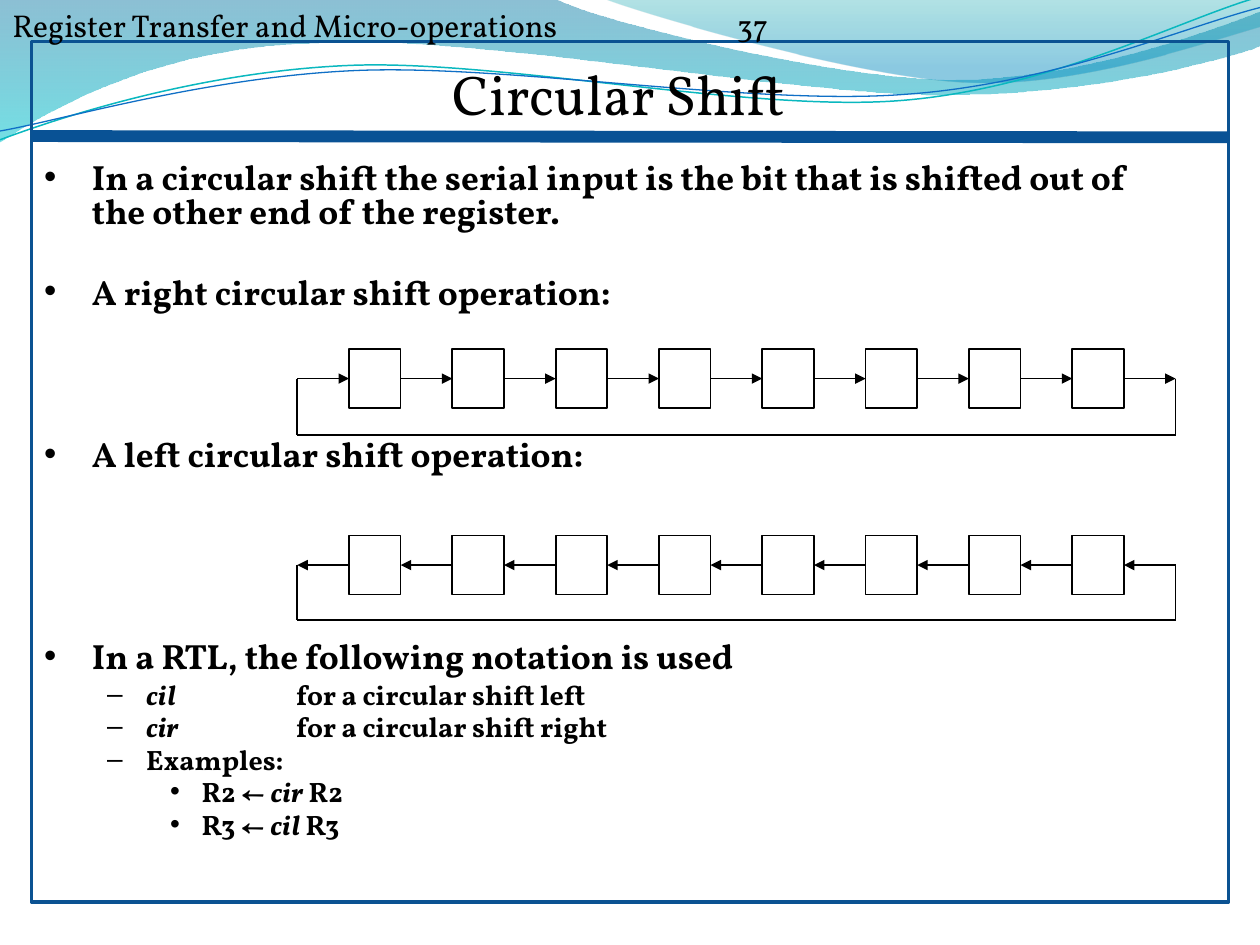
from lxml import etree
from pptx import Presentation
from pptx import util as u
from pptx.dml.color import RGBColor
from pptx.enum import shapes, text
from pptx.oxml import ns

COLORS = {
    "ink": "000000", "frame": "0B5292", "rule": "095295",
    "teal_line": "0AB8BF", "blue_line": "0F6FC6",
    "deep_blue": "0074A1", "aqua": "00C6CF", "teal": "00A1A9", "sky": "008BBF",
}
FONT = "Vollkorn"

# Waves in hundredths of an inch: a start point, then 2 numbers for a line
# or 6 for a cubic curve
WIDE_WAVE = [(0, 0), (440, -1), (476, 17, 664, 63, 758, 63),
             (853, 63, 958, 26, 1000, 9), (1001, 36),
             (983, 44, 870, 76, 746, 75), (622, 75, 382, 28, 257, 34),
             (129, 36, 46, 83, -1, 113)]
CORNER_WAVE = [(479, -1), (509, 11, 682, 62, 769, 65),
               (856, 69, 961, 32, 1000, 21), (1000, 0)]
TEAL_CURVE = [(0, 111), (48, 93, 158, 57, 277, 52),
              (395, 47, 593, 89, 713, 80), (833, 71, 938, 15, 998, -2)]
BLUE_CURVE = [(0, 104), (47, 96, 164, 61, 283, 56),
              (403, 51, 597, 84, 717, 75), (836, 67, 941, 21, 1000, 6)]

# Body lines: level, space before in points, runs of (text, italic)
POINTS = [
    (0, 4, [("In a circular shift the serial input is the bit that is shifted "
             "out of the other end of the register.", False)]),
    (0, 27, [("A right circular shift operation:", False)]),
    (0, 73.5, [("A left circular shift operation:", False)]),
    (0, 96.5, [("In a RTL, the following notation is used", False)]),
    (1, 4, [("cil", True), ("\tfor a circular shift left", False)]),
    (1, 3.2, [("cir", True), ("\tfor a circular shift right", False)]),
    (1, 3.2, [("Examples:", False)]),
    (2, 3.2, [("R2 ← ", False), ("cir", True), (" R2", False)]),
    (2, 3.2, [("R3 ← ", False), ("cil", True), (" R3", False)]),
]
# Per level: text indent, hanging part, bullet, size
LEVELS = [(0.38, 0.38, "•", 20), (0.81, 0.31, "–", 16), (1.25, 0.25, "•", 16)]


def rgb(name):
    return RGBColor.from_string(COLORS[name])


def child(parent, tag, **attrs):
    return etree.SubElement(parent, ns.qn(tag), attrs)


def add_run(paragraph, words, size, bold=False, italic=False):
    run = paragraph.add_run()
    run.text = words
    run.font.name, run.font.size = FONT, u.Pt(size)
    run.font.bold, run.font.italic = bold, italic
    run.font.color.rgb = rgb("ink")


def add_tab(paragraph, position):
    tabs = child(paragraph._p.get_or_add_pPr(), "a:tabLst")
    child(tabs, "a:tab", pos=str(u.Inches(position)), algn="l")


def place(shape, box):
    shape.left, shape.top, shape.width, shape.height = map(u.Inches, box)


def prepare_frame(shape, anchor=text.MSO_ANCHOR.TOP):
    frame = shape.text_frame
    frame.word_wrap = True
    frame.auto_size = text.MSO_AUTO_SIZE.NONE
    frame.vertical_anchor = anchor
    return frame


def add_rule(slide, start, end, color="ink", width=1, arrow=False):
    rule = slide.shapes.add_connector(
        shapes.MSO_CONNECTOR.STRAIGHT, *map(u.Inches, (*start, *end)))
    rule.line.color.rgb = rgb(color)
    rule.line.width = u.Pt(width)
    if arrow:
        child(rule.line._get_or_add_ln(), "a:tailEnd", type="triangle")
    child(rule._element.spPr, "a:effectLst")


def add_outline_box(slide, box, color, width):
    rect = slide.shapes.add_shape(
        shapes.MSO_SHAPE.RECTANGLE, *map(u.Inches, box))
    rect.shadow.inherit = False
    rect.fill.background()
    rect.line.color.rgb = rgb(color)
    rect.line.width = u.Pt(width)


def add_wave(slide, outline, close):
    """Build a freeform through the end points, then bend its curved parts."""
    knots = [segment[-2:] for segment in outline]
    left, top = (min(values) for values in zip(*knots))
    builder = slide.shapes.build_freeform(*knots[0], scale=u.Inches(0.01))
    builder.add_line_segments(knots[1:], close=close)
    wave = builder.convert_to_shape()
    wave.shadow.inherit = False
    lines = list(wave._element.iter(ns.qn("a:lnTo")))
    for line, segment in zip(lines, outline[1:]):
        if len(segment) == 6:
            line.tag = ns.qn("a:cubicBezTo")
            line.clear()
            for x, y in zip(segment[::2], segment[1::2]):
                child(line, "a:pt", x=str(x - left), y=str(y - top))
    return wave


def draw_waves(slide):
    for outline, stops in (
            (WIDE_WAVE, [("deep_blue", 0, 45), ("aqua", 1, 55)]),
            (CORNER_WAVE, [("teal", 0, 30), ("sky", 0.8, 45)])):
        wave = add_wave(slide, outline, True)
        wave.line.fill.background()
        wave.fill.gradient()
        wave.fill.gradient_angle = 270
        for stop, (color, position, alpha) in zip(wave.fill.gradient_stops, stops):
            stop.color.rgb = rgb(color)
            stop.position = position
            child(stop._gs[0], "a:alpha", val=str(alpha * 1000))
    for outline, color, width in ((TEAL_CURVE, "teal_line", 0.85),
                                  (BLUE_CURVE, "blue_line", 0.75)):
        curve = add_wave(slide, outline, False)
        curve.fill.background()
        curve.line.color.rgb = rgb(color)
        curve.line.width = u.Pt(width)


def draw_header(slide, box):
    header = slide.shapes.add_textbox(*map(u.Inches, box))
    line = prepare_frame(header).paragraphs[0]
    add_tab(line, 5.75)
    add_run(line, "Register Transfer and Micro-operations\t37", 18)


def fill_title(slide, box):
    title = slide.shapes.title
    place(title, box)
    line = prepare_frame(title, text.MSO_ANCHOR.MIDDLE).paragraphs[0]
    line.alignment = text.PP_ALIGN.CENTER
    add_run(line, "Circular Shift ", 32)
    slide.shapes._spTree.append(title._element)  # in front of the waves


def fill_body(slide, box):
    body = slide.placeholders[1]
    place(body, box)
    frame = prepare_frame(body)
    for index, (level, gap, runs) in enumerate(POINTS):
        line = frame.add_paragraph() if index else frame.paragraphs[0]
        indent, hanging, bullet, size = LEVELS[level]
        line.level = level
        line.line_spacing = 0.8
        line.space_before = u.Pt(gap)
        props = line._p.get_or_add_pPr()
        props.set("marL", str(u.Inches(indent)))
        props.set("indent", str(-u.Inches(hanging)))
        child(props, "a:buChar", char=bullet)
        if level == 1:
            add_tab(line, 2)
        for words, italic in runs:
            add_run(line, words, size, bold=True, italic=italic)
    slide.shapes._spTree.append(body._element)


def draw_register(slide, box, to_right, cells=8):
    """Row of bit cells joined by arrows, with a loop back underneath."""
    left, top, width, height = box
    right, bottom = left + width, top + height
    cell = width / (2 * cells + 1)  # a cell is as wide as a gap
    cell_height = 0.47
    middle = top + cell_height / 2
    for index in range(cells + 1):
        start = left + 2 * index * cell
        ends = [(start, middle), (start + cell, middle)]
        add_rule(slide, *(ends if to_right else ends[::-1]), arrow=True)
        if index < cells:
            add_outline_box(slide, (start + cell, top, cell, cell_height), "ink", 1)
    for side in (left, right):
        add_rule(slide, (side, bottom), (side, middle))
    add_rule(slide, (left, bottom), (right, bottom))


def main():
    deck = Presentation()
    deck.slide_width, deck.slide_height = u.Inches(10), u.Inches(7.5)
    slide = deck.slides.add_slide(deck.slide_layouts[1])

    # Background and frame
    draw_waves(slide)
    add_outline_box(slide, (0.25, 0.33, 9.5, 6.83), "frame", 2)
    draw_header(slide, (0, 0, 10, 0.4))
    add_rule(slide, (0.25, 1.08), (9.75, 1.09), "rule", 6.75)

    # Title, text and the two shift registers
    fill_title(slide, (0.75, 0.42, 8.42, 0.64))
    fill_body(slide, (0.25, 1.25, 9.08, 6.19))
    draw_register(slide, (2.36, 2.77, 6.97, 0.68), to_right=True)
    draw_register(slide, (2.36, 4.25, 6.97, 0.67), to_right=False)
    deck.save("out.pptx")


if __name__ == "__main__":
    main()
